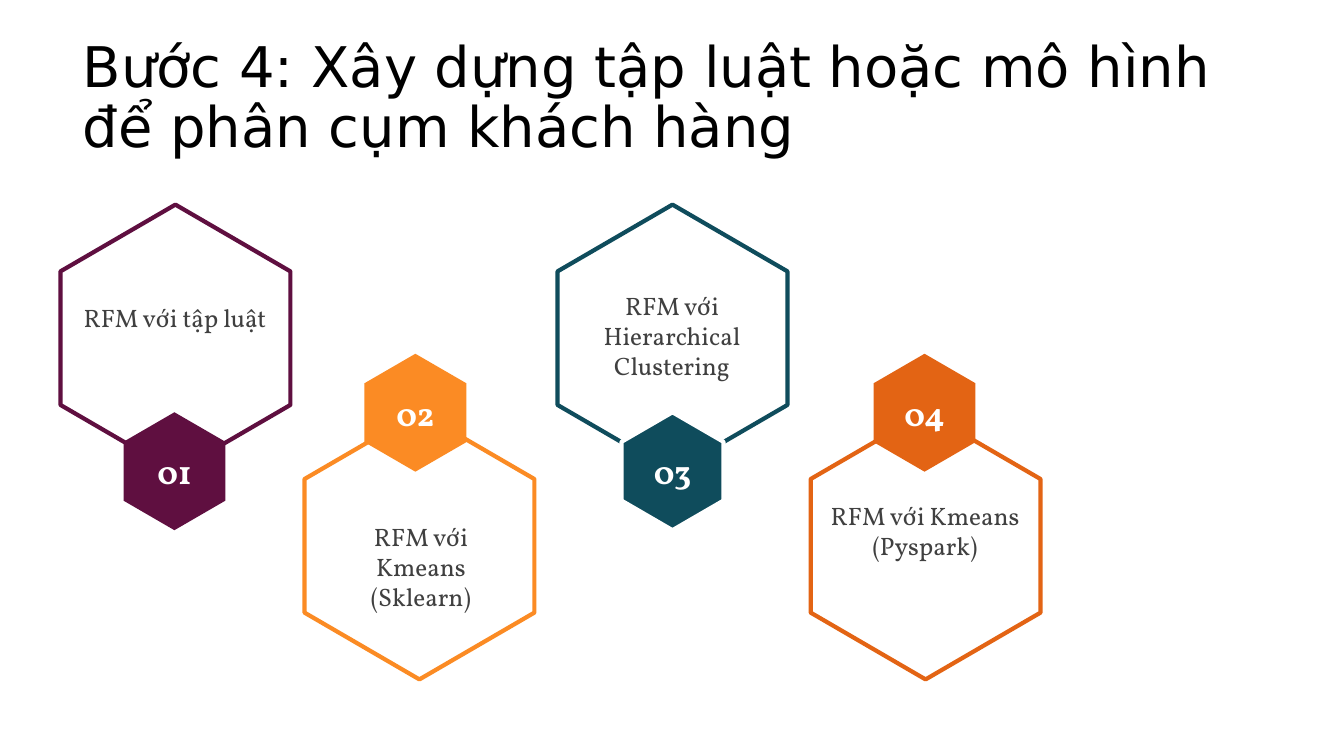
from pptx import Presentation
from pptx.dml.color import RGBColor
from pptx.enum.text import MSO_ANCHOR, MSO_AUTO_SIZE, PP_ALIGN
from pptx.util import Inches, Pt

LEFT, CENTER = PP_ALIGN.LEFT, PP_ALIGN.CENTER
TOP, MIDDLE = MSO_ANCHOR.TOP, MSO_ANCHOR.MIDDLE
NO_FIT = MSO_AUTO_SIZE.NONE

COLORS = {
    "plum": "5F0F40", "amber": "FB8B24", "teal": "0F4C5C", "orange": "E36414",
    "white": "FFFFFF", "black": "000000", "gray": "404040",
}
TITLE = "Bước 4: Xây dựng tập luật hoặc mô hình để phân cụm khách hàng"
STEPS = [
    {"color": "plum", "center": 1.74, "badge": 1.73, "edge": None,
     "text": "RFM với tập luật", "box": (0.72, 2.95, 2.03, 0.71)},
    {"color": "amber", "center": 4.16, "badge": 4.12, "edge": None,
     "text": "RFM với Kmeans (Sklearn)", "box": (3.16, 5.12, 2.03, 1.01)},
    {"color": "teal", "center": 6.67, "badge": 6.67, "edge": "white",
     "text": "RFM với Hierarchical Clustering", "box": (5.44, 2.83, 2.45, 1.01)},
    {"color": "orange", "center": 9.18, "badge": 9.17, "edge": None,
     "text": "RFM với Kmeans (Pyspark)", "box": (7.95, 4.91, 2.45, 0.71)},
]
CELL = (2.28, 2.65)
BADGE = (1.01, 1.17)
ROWS = [(2.03, 4.09), (4.09, 3.51)]
STYLES = {
    "title": {"size": Pt(40), "name": "DejaVu Sans", "bold": False},
    "badge": {"size": Pt(24), "name": "Vollkorn", "bold": True},
    "label": {"size": Pt(18), "name": "Vollkorn", "bold": False},
}


def rgb(name):
    return RGBColor.from_string(COLORS[name])


def write(shape, text, style, color, align, anchor):
    frame = shape.text_frame
    frame.text = text
    frame.word_wrap = True
    frame.auto_size = NO_FIT
    frame.vertical_anchor = anchor
    para = frame.paragraphs[0]
    para.alignment = align
    font = para.runs[0].font
    for key, value in STYLES[style].items():
        setattr(font, key, value)
    font.color.rgb = rgb(color)
    return para


def hexagon(slide, center, top, size, fill, edge):
    width, height = size
    left, right = center - width / 2, center + width / 2
    upper, lower = top + height / 4, top + height * 3 / 4
    points = [(center, top), (right, upper), (right, lower),
              (center, top + height), (left, lower), (left, upper)]
    corners = [(Inches(x), Inches(y)) for x, y in points]
    path = slide.shapes.build_freeform(*corners[0])
    path.add_line_segments(corners[1:], close=True)
    shape = path.convert_to_shape()
    shape.shadow.inherit = False
    shape.fill.solid()
    shape.fill.fore_color.rgb = rgb(fill)
    if edge:
        shape.line.color.rgb = rgb(edge)
        shape.line.width = Pt(3)
    else:
        shape.line.fill.background()
    return shape


def main():
    deck = Presentation()
    deck.slide_width, deck.slide_height = Inches(13.33), Inches(7.5)
    slide = deck.slides.add_slide(deck.slide_layouts[5])

    title = slide.shapes.title
    title.left, title.top = Inches(0.72), Inches(0.26)
    title.width, title.height = Inches(11.5), Inches(1.45)
    para = write(title, TITLE, "title", "black", LEFT, MIDDLE)
    para.line_spacing = 0.9

    for index, step in enumerate(STEPS):
        cell_top, badge_top = ROWS[index % 2]
        color = step["color"]
        hexagon(slide, step["center"], cell_top, CELL, "white", color)
        badge = hexagon(slide, step["badge"], badge_top, BADGE, color, step["edge"])
        write(badge, f"{index + 1:02}", "badge", "white", CENTER, MIDDLE)
        label = slide.shapes.add_textbox(*map(Inches, step["box"]))
        write(label, step["text"], "label", "gray", CENTER, TOP)

    deck.save("out.pptx")


if __name__ == "__main__":
    main()
